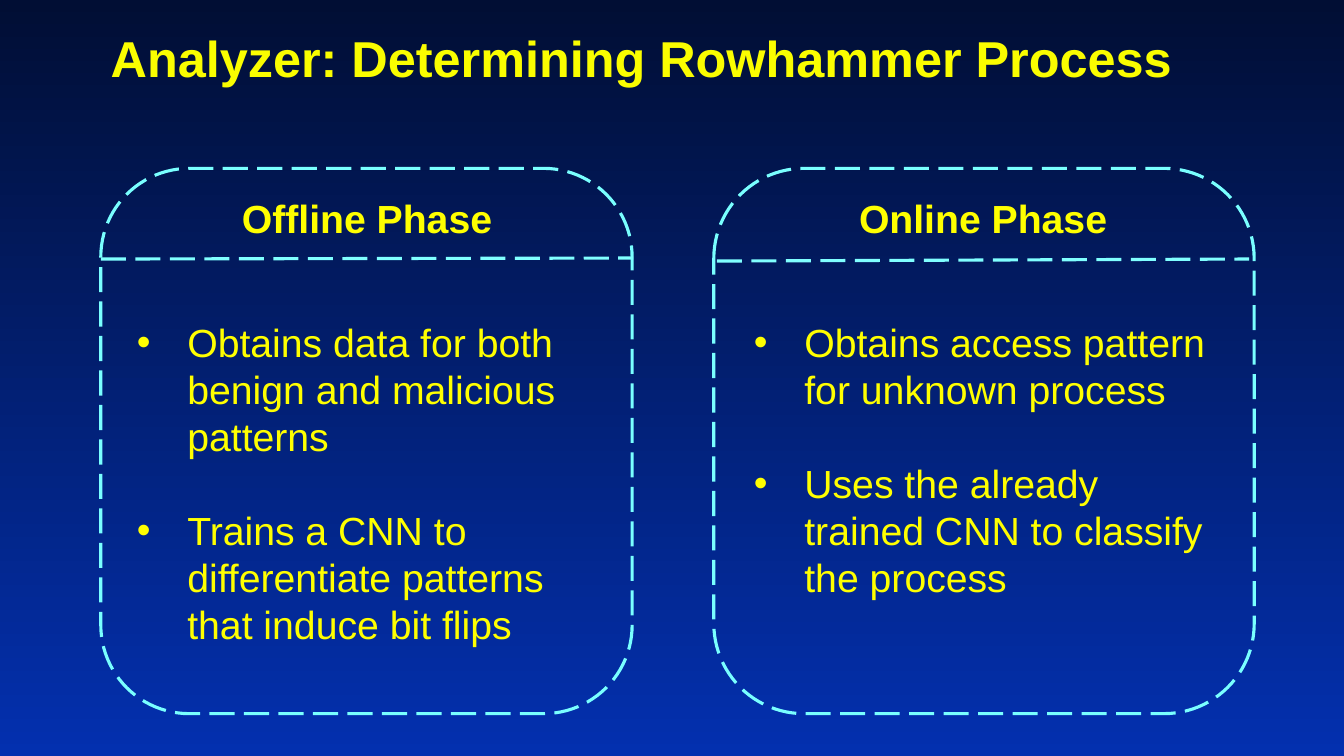
from dataclasses import dataclass

from lxml.etree import SubElement
from pptx import Presentation
from pptx.dml.color import RGBColor
from pptx.dml.line import LineFormat
from pptx.enum.dml import MSO_LINE
from pptx.enum.shapes import MSO_CONNECTOR, MSO_SHAPE
from pptx.enum.text import MSO_ANCHOR, PP_ALIGN
from pptx.oxml.ns import qn
from pptx.slide import Slide
from pptx.text.text import TextFrame, _Paragraph
from pptx.util import Inches, Pt


@dataclass(frozen=True)
class Theme:
    font: str = "Arial"
    title_size: Pt = Pt(36)
    body_size: Pt = Pt(28)
    bullet_gap: Pt = Pt(33.6)
    line_width: Pt = Pt(2.25)
    title: RGBColor = RGBColor(0xFA, 0xFD, 0x00)
    text: RGBColor = RGBColor(0xFF, 0xFF, 0x00)
    frame: RGBColor = RGBColor(0x79, 0xFF, 0xFF)
    divider: RGBColor = RGBColor(0x80, 0xFF, 0xFF)
    sky_top: RGBColor = RGBColor(0x01, 0x0E, 0x34)
    sky_bottom: RGBColor = RGBColor(0x03, 0x30, 0xAF)


@dataclass(frozen=True)
class Phase:
    heading: str
    bullets: tuple[str, ...]
    left: float
    width: float
    heading_left: float
    bullets_left: float
    divider_left: float
    divider_start: float
    divider_end: float


THEME = Theme()
DIVIDER_WIDTH = 5.28
PHASES = (
    Phase(
        "Offline Phase",
        (
            "Obtains data for both benign and malicious patterns",
            "Trains a CNN to differentiate patterns that induce bit flips",
        ),
        1, 5.27, 1.53, 1.26, 1, 2.57, 2.56,
    ),
    Phase(
        "Online Phase",
        (
            "Obtains access pattern for unknown process",
            "Uses the already trained CNN to classify the process",
        ),
        7.08, 5.36, 7.64, 7.38, 7.11, 2.59, 2.57,
    ),
)


def paint_background(page: Slide) -> None:
    fill = page.background.fill
    fill.gradient()
    fill.gradient_angle = 270
    for stop, color in zip(fill.gradient_stops, (THEME.sky_top, THEME.sky_bottom)):
        stop.color.rgb = color


def style_line(line: LineFormat, color: RGBColor) -> None:
    line.color.rgb = color
    line.width = THEME.line_width
    line.dash_style = MSO_LINE.LONG_DASH


def add_text_box(page: Slide, left: float, top: float, width: float, height: float) -> TextFrame:
    box = page.shapes.add_textbox(Inches(left), Inches(top), Inches(width), Inches(height))
    box.text_frame.word_wrap = True
    return box.text_frame


def write(para: _Paragraph, text: str, size: Pt, color: RGBColor, bold: bool = False) -> None:
    para.text = text
    para.font.name = THEME.font
    para.font.size = size
    para.font.bold = bold
    para.font.color.rgb = color


def add_bullet(para: _Paragraph) -> None:
    properties = para._p.get_or_add_pPr()
    properties.set("marL", str(Inches(0.5)))
    properties.set("indent", str(-Inches(0.5)))
    font = SubElement(properties, qn("a:buFont"))
    font.set("typeface", THEME.font)
    SubElement(properties, qn("a:buChar")).set("char", "•")
    properties.append(properties.find(qn("a:defRPr")))


def draw_phase(page: Slide, phase: Phase) -> None:
    frame = page.shapes.add_shape(
        MSO_SHAPE.ROUNDED_RECTANGLE,
        Inches(phase.left), Inches(1.67), Inches(phase.width), Inches(5.41),
    )
    frame.shadow.inherit = False
    frame.fill.background()
    style_line(frame.line, THEME.frame)

    divider = page.shapes.add_connector(
        MSO_CONNECTOR.STRAIGHT,
        Inches(phase.divider_left), Inches(phase.divider_start),
        Inches(phase.divider_left + DIVIDER_WIDTH), Inches(phase.divider_end),
    )
    style_line(divider.line, THEME.divider)
    SubElement(divider._element.spPr, qn("a:effectLst"))

    heading = add_text_box(page, phase.heading_left, 1.88, 4.22, 0.57).paragraphs[0]
    write(heading, phase.heading, THEME.body_size, THEME.text, bold=True)
    heading.alignment = PP_ALIGN.CENTER

    body = add_text_box(page, phase.bullets_left, 3.11, 4.74, 3.4)
    for index, bullet in enumerate(phase.bullets):
        para = body.add_paragraph() if index else body.paragraphs[0]
        write(para, bullet, THEME.body_size, THEME.text)
        if index:
            para.space_before = THEME.bullet_gap
        add_bullet(para)


deck = Presentation()
deck.slide_width, deck.slide_height = Inches(13.33), Inches(7.5)
page = deck.slides.add_slide(deck.slide_layouts[6])
paint_background(page)

title = add_text_box(page, 1, 0.25, 11.33, 0.67)
title.vertical_anchor = MSO_ANCHOR.BOTTOM
write(title.paragraphs[0], "Analyzer: Determining Rowhammer Process", THEME.title_size, THEME.title, bold=True)

for phase in PHASES:
    draw_phase(page, phase)

deck.save("out.pptx")
